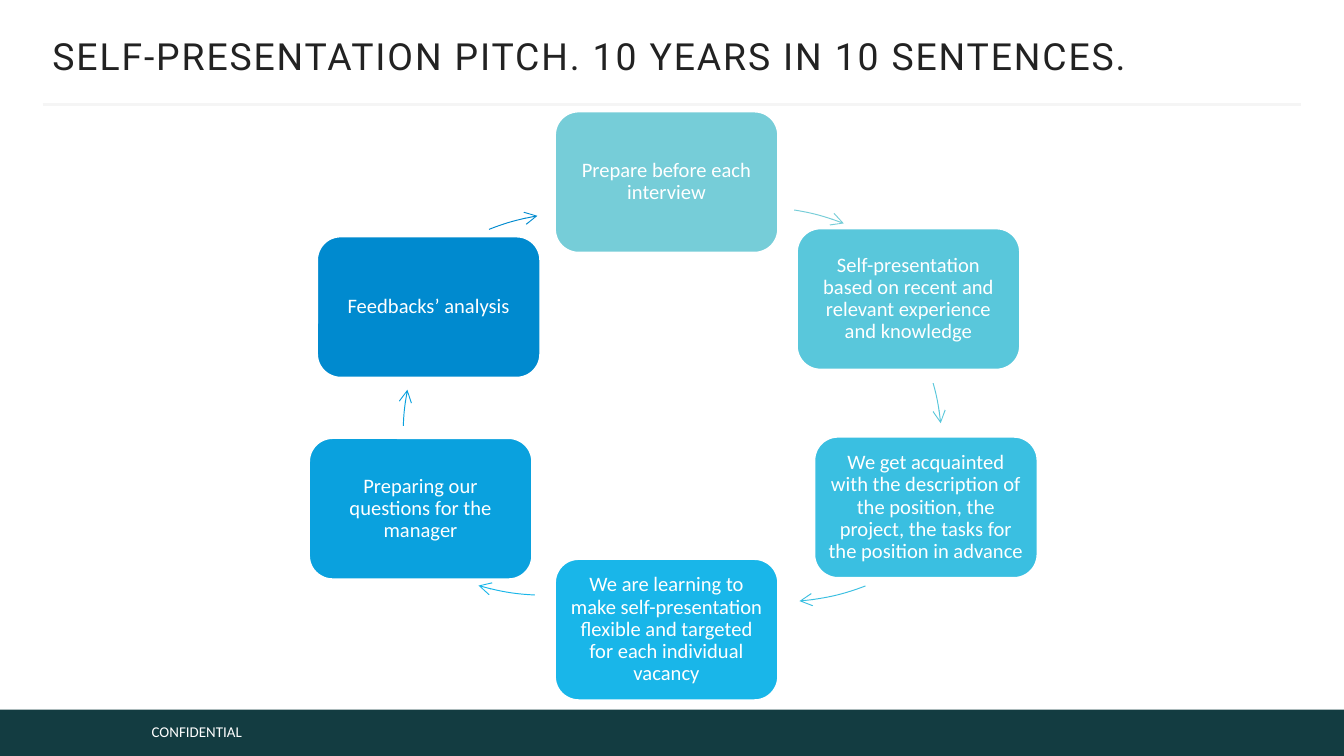
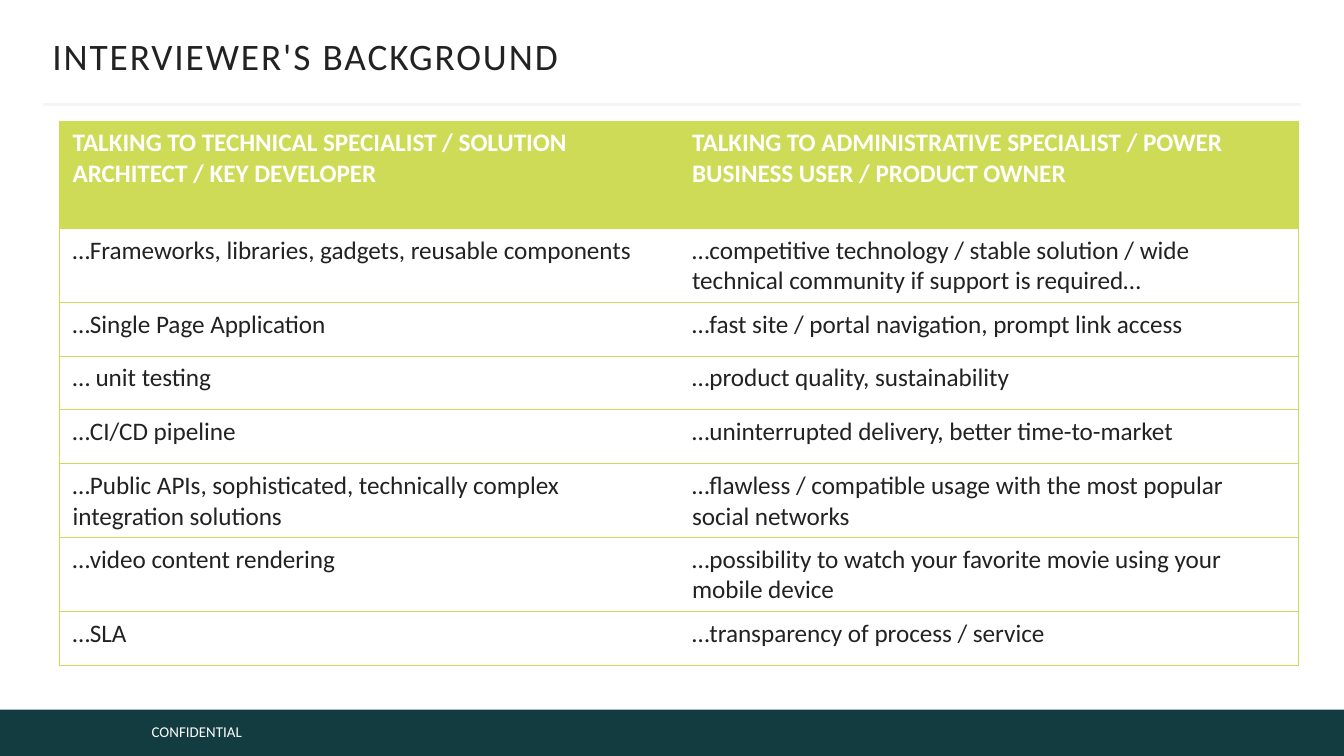
import math

from lxml import etree
from pptx import Presentation
from pptx import util as u
from pptx.dml import color
from pptx.enum import shapes, text
from pptx.oxml import ns

WHITE, INK, BAND, RULE, LIME = "FFFFFF", "222222", "133C41", "F5F5F5", "CEDB56"
FONT = "Calibri"
PLAIN_TABLE = "{2D5ABB26-0587-4C30-8999-92F81FD0307C}"

STEP_SIZE = (1.66, 1.05)
ARC_SIZE = 3.66
# Each step: text, colour, left and top, then the arrow to the next step:
# left and top of its circle, start and end point
STEPS = [
    ("Prepare before each interview", "76CDD8",
     (4.13, 0.83), (3.79, 1.54), (5.91, 1.56), (6.28, 1.66)),
    ("Self-presentation based on recent and relevant experience and knowledge", "59C7DB",
     (5.93, 1.7), (3.35, 1.51), (6.95, 2.85), (7.0, 3.15)),
    ("We get acquainted with the description of the position, the project, "
     "the tasks for the position in advance", "3ABFE1",
     (6.06, 3.25), (3.96, 0.82), (6.44, 4.36), (5.95, 4.48)),
    ("We are learning to make self-presentation flexible and targeted "
     "for each individual vacancy", "19B6E9",
     (4.13, 4.16), (2.24, 0.77), (3.98, 4.43), (3.56, 4.36)),
    ("Preparing our questions for the manager", "0AA1DE",
     (2.3, 3.26), (3.0, 1.41), (3.0, 3.17), (3.03, 2.9)),
    ("Feedbacks’ analysis", "008ACF",
     (2.36, 1.76), (2.48, 1.58), (3.64, 1.71), (4.0, 1.61)),
]

TOPICS = [
    ("TALKING TO TECHNICAL SPECIALIST / SOLUTION ARCHITECT / KEY DEVELOPER",
     "TALKING TO ADMINISTRATIVE SPECIALIST / POWER BUSINESS USER / PRODUCT OWNER"),
    ("…Frameworks, libraries, gadgets, reusable components",
     "…competitive technology / stable solution / wide technical community "
     "if support is required…"),
    ("…Single Page Application", "…fast site / portal navigation, prompt link access"),
    ("… unit testing", "…product quality, sustainability"),
    ("…CI/CD pipeline", "…uninterrupted delivery, better time-to-market"),
    ("…Public APIs, sophisticated, technically complex integration solutions",
     "…flawless / compatible usage with the most popular social networks"),
    ("…video content rendering",
     "…possibility to watch your favorite movie using your mobile device"),
    ("…SLA", "…transparency of process / service"),
]


def rgb(value):
    return color.RGBColor.from_string(value)


def inches(*lengths):
    return [u.Inches(length) for length in lengths]


def write(frame, words, size, ink, font=FONT, bold=False):
    """Write one run into the first paragraph of a text frame."""
    frame.word_wrap = True
    para = frame.paragraphs[0]
    span = para.add_run()
    span.text = words
    span.font.size = u.Pt(size)
    span.font.name = font
    span.font.bold = bold
    span.font.color.rgb = rgb(ink)
    return para, span


def set_margins(frame, side, end):
    frame.margin_left = frame.margin_right = u.Inches(side)
    frame.margin_top = frame.margin_bottom = u.Inches(end)


def add_block(page, kind, box, fill):
    block = page.shapes.add_shape(kind, *inches(*box))
    block.shadow.inherit = False
    block.fill.solid()
    block.fill.fore_color.rgb = rgb(fill)
    block.line.fill.background()
    return block


# Shared frame: footer band, rule and title
def add_page(deck, title, title_font=FONT):
    page = deck.slides.add_slide(deck.slide_layouts[6])
    add_block(page, shapes.MSO_SHAPE.RECTANGLE, (0, 5.28, 10, 0.35), BAND)
    footer = page.shapes.add_textbox(*inches(1.03, 5.33, 2.65, 0.24))
    write(footer.text_frame, "CONFIDENTIAL", 8, WHITE)

    rule = page.shapes.add_connector(shapes.MSO_CONNECTOR.STRAIGHT,
                                     *inches(0.32, 0.78, 9.68, 0.78))
    rule.line.color.rgb = rgb(RULE)
    rule.line.width = u.Pt(1.5)
    etree.SubElement(rule.element.spPr, ns.qn("a:effectLst"))

    heading = page.shapes.add_textbox(*inches(0.39, 0.25, 9.22, 0.33))
    frame = heading.text_frame
    set_margins(frame, 0, 0.05)
    frame.vertical_anchor = text.MSO_ANCHOR.MIDDLE
    para, span = write(frame, title, 20, INK, title_font)
    span.font._element.set("spc", "100")
    return page


# One rounded step of the cycle
def add_step(page, box, words, fill):
    step = add_block(page, shapes.MSO_SHAPE.ROUNDED_RECTANGLE, box, fill)
    step.line.color.rgb = rgb(WHITE)
    step.line.width = u.Pt(1)
    frame = step.text_frame
    set_margins(frame, 0.05, 0.05)
    frame.vertical_anchor = text.MSO_ANCHOR.MIDDLE
    para, span = write(frame, words, 11, WHITE)
    para.alignment = text.PP_ALIGN.CENTER
    para.line_spacing = 0.9


# Clockwise arc on a circle, with an open arrowhead at its end
def add_arc(page, corner, start, end, ink):
    radius = ARC_SIZE / 2
    center = [edge + radius for edge in corner]
    first, last = (math.atan2(y - center[1], x - center[0]) for x, y in (start, end))
    sweep = (last - first) % math.tau

    builder = page.shapes.build_freeform(*inches(*start))
    builder.add_line_segments([tuple(inches(*end))], close=False)
    arc = builder.convert_to_shape()
    arc.left, arc.top, arc.width, arc.height = inches(*corner, ARC_SIZE, ARC_SIZE)

    # Swap the straight segment for a circular one in the box of the whole circle
    size = u.Inches(ARC_SIZE)
    outline = next(arc._element.iter(ns.qn("a:path")))
    outline.clear()
    for side in "wh":
        outline.set(side, str(size))
    move = etree.SubElement(outline, ns.qn("a:moveTo"))
    x, y = (u.Inches(radius * (1 + turn(first))) for turn in (math.cos, math.sin))
    etree.SubElement(move, ns.qn("a:pt"), x=str(x), y=str(y))
    start_angle, sweep_angle = (str(round(math.degrees(angle) * 60000))
                                for angle in (first % math.tau, sweep))
    etree.SubElement(outline, ns.qn("a:arcTo"), wR=str(size // 2), hR=str(size // 2),
                     stAng=start_angle, swAng=sweep_angle)

    arc.shadow.inherit = False
    arc.fill.background()
    arc.line.color.rgb = rgb(ink)
    arc.line.width = u.Pt(0.5)
    etree.SubElement(arc.line._get_or_add_ln(), ns.qn("a:tailEnd"), type="arrow")


def add_cycle(page, left=0, top=0):
    def shift(point):
        return point[0] + left, point[1] + top

    for words, fill, corner, circle, start, end in STEPS:
        add_step(page, shift(corner) + STEP_SIZE, words, fill)
        add_arc(page, shift(circle), shift(start), shift(end), fill)


def make_border(side, ink):
    """Make one cell edge, hidden when there is no colour."""
    edge = etree.Element(ns.qn("a:" + side), w=str(u.Pt(0.5)))
    if ink:
        fill = etree.SubElement(edge, ns.qn("a:solidFill"))
        etree.SubElement(fill, ns.qn("a:srgbClr"), val=ink)
    else:
        etree.SubElement(edge, ns.qn("a:noFill"))
    return edge


# Two-column table with a lime header and lime rules
def add_topics(page, box):
    holder = page.shapes.add_table(len(TOPICS), 2, *inches(*box))
    table = holder.table
    table.horz_banding = False
    table._tbl.tblPr.find(ns.qn("a:tableStyleId")).text = PLAIN_TABLE
    for column in table.columns:
        column.width = u.Inches(box[2] / 2)
    for index, topic in enumerate(TOPICS):
        header = index == 0
        table.rows[index].height = u.Inches(0.8 if header else 0.4)
        for side, words in enumerate(topic):
            cell = table.cell(index, side)
            write(cell.text_frame, words, 13.5, WHITE if header else INK, bold=header)
            if header:
                cell.fill.solid()
                cell.fill.fore_color.rgb = rgb(LIME)
            else:
                cell.fill.background()
            edges = {"lnL": None if side else LIME, "lnR": LIME if side else None,
                     "lnT": LIME, "lnB": LIME}
            for place, (name, ink) in enumerate(edges.items()):
                cell._tc.get_or_add_tcPr().insert(place, make_border(name, ink))


def main():
    deck = Presentation()
    deck.slide_width, deck.slide_height = inches(10, 5.625)

    pitch = add_page(deck, "SELF-PRESENTATION PITCH. 10 YEARS IN 10 SENTENCES.", "Roboto")
    add_cycle(pitch)

    background = add_page(deck, "INTERVIEWER'S BACKGROUND")
    add_topics(background, (0.44, 0.9, 9.22, 3.6))

    deck.save("out.pptx")


if __name__ == "__main__":
    main()
